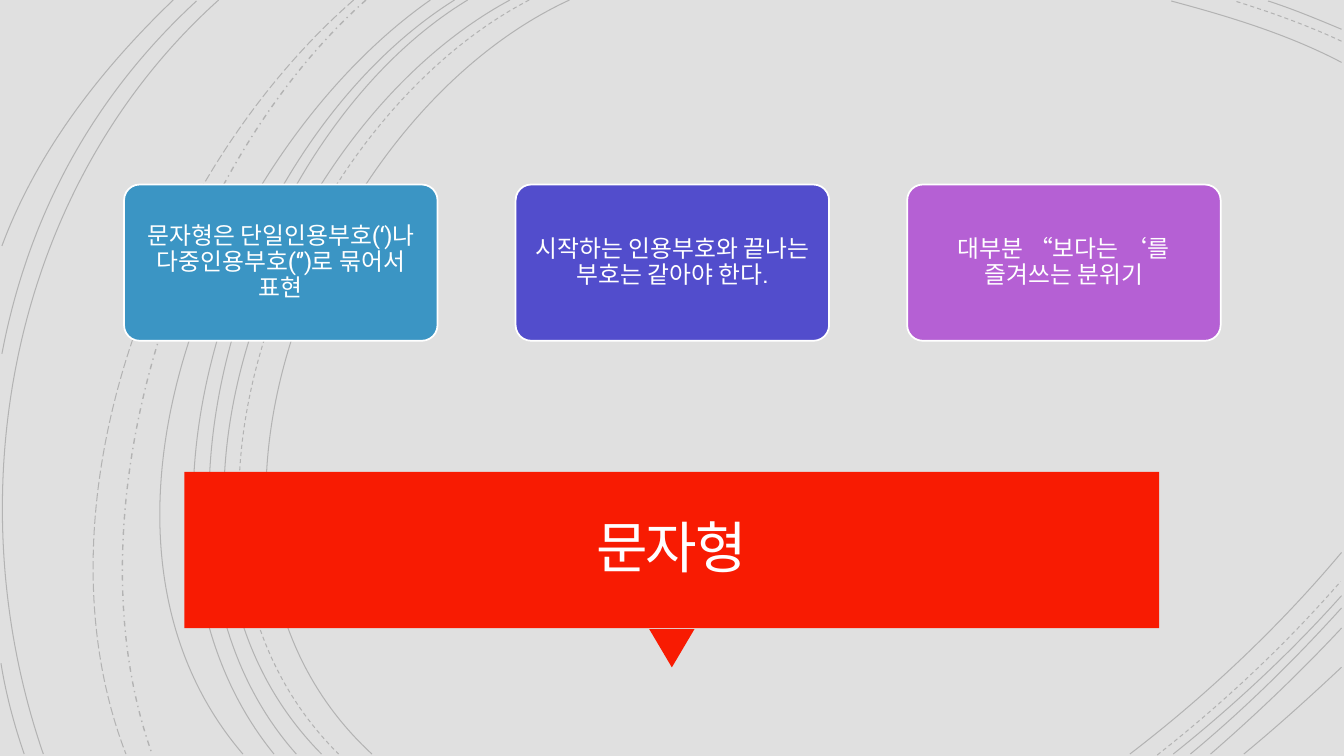
"""Builds the string-type slide: curved backdrop, three cards and a red title banner."""
from dataclasses import dataclass

import pptx
import pptx.dml.color
import pptx.enum.dml
import pptx.enum.shapes
import pptx.enum.text
import pptx.oxml
import pptx.oxml.ns
import pptx.shapes.autoshape
import pptx.slide
import pptx.util

Pt = pptx.util.Pt
RGBColor = pptx.dml.color.RGBColor
Dash = pptx.enum.dml.MSO_LINE
ShapeKind = pptx.enum.shapes.MSO_SHAPE

BACKDROP = RGBColor(0xE0, 0xE0, 0xE0)
CURVE_COLOR = RGBColor(0x00, 0x00, 0x00)
WHITE = RGBColor(0xFF, 0xFF, 0xFF)
TITLE_COLOR = RGBColor(0xFF, 0xFE, 0xFF)
RED = RGBColor(0xF8, 0x1B, 0x02)
BLUE = RGBColor(0x3B, 0x95, 0xC4)
INDIGO = RGBColor(0x52, 0x4D, 0xCC)
PURPLE = RGBColor(0xB5, 0x60, 0xD4)

NAMESPACE = pptx.oxml.ns.nsdecls("a")
CURVE_ALPHA = "20000"
CARD_LEFT, CARD_TOP, CARD_PITCH = 88.6, 131.8, 279.7
CARD_WIDTH, CARD_HEIGHT = 223.9, 111.6

Point = tuple[float, float]


@dataclass(frozen=True)
class Box:
    left: float
    top: float
    width: float
    height: float

    def lengths(self) -> tuple[int, int, int, int]:
        return Pt(self.left), Pt(self.top), Pt(self.width), Pt(self.height)


@dataclass(frozen=True)
class Curve:
    start: Point
    control1: Point
    control2: Point
    end: Point
    dash: Dash = Dash.SOLID
    weight: float = 0.75


@dataclass(frozen=True)
class Card:
    text: str
    color: RGBColor


CURVES = (
    Curve((406.8, 0), (226.8, 82.8), (103, 388.8), (265.7, 538.6)),
    Curve((958.3, 44.6), (920.2, 24.5), (877, 11.5), (836.6, 0.7)),
    Curve((807.1, 538.6), (861.8, 496.8), (913.7, 447.8), (958.3, 394.6)),
    Curve((378, 0), (205.2, 90), (88.6, 386.6), (241.9, 538.6), Dash.DASH),
    Curve((958.3, 29.5), (933.8, 18), (907.2, 8.6), (882, 0.7), Dash.DASH),
    Curve((826.6, 539.3), (873.4, 502.6), (918, 460.8), (957.6, 415.4), Dash.DASH),
    Curve((364.3, 0), (194.4, 91.4), (79.2, 386.6), (229.7, 538.6)),
    Curve((958.3, 20.9), (941, 13.7), (923.8, 6.5), (905.8, 0.7)),
    Curve((838.1, 538.6), (880.6, 504.7), (921.6, 466.6), (958.3, 425.5)),
    Curve((334.1, 0), (175.7, 95.8), (79.2, 389.5), (211.7, 538.6)),
    Curve((850.3, 538.6), (888.5, 506.9), (924.5, 471.6), (958.3, 434.2)),
    Curve((324.7, 0), (166.3, 99.4), (69.8, 383.8), (195.8, 538.6)),
    Curve((864.7, 538.6), (897.1, 510.5), (928.8, 480.2), (958.3, 448.6)),
    Curve((307.4, 0), (156.2, 105.8), (38.2, 380.9), (173.5, 538.6)),
    Curve((888.5, 538.6), (912.2, 519.1), (935.3, 498.2), (958.3, 476.6)),
    Curve((261.4, 0), (126.7, 119.5), (46.8, 366.5), (108.7, 538.6), Dash.DASH_DOT, 1),
    Curve((252.7, 0), (113, 121.7), (20.9, 359.3), (90, 538.6), Dash.LONG_DASH),
    Curve((156.2, 0), (7.9, 133.2), (-33.1, 352.8), (31, 538.6)),
    Curve((140.4, 0.7), (66.2, 69.1), (20.2, 154.1), (1.4, 252.7)),
    Curve((0.7, 473.8), (4.3, 496.1), (10.1, 517.7), (17.3, 538.6)),
    Curve((123.8, 0), (72, 49.7), (26.6, 108), (1.4, 175.7)),
)

CARDS = (
    Card("문자형은 단일인용부호(‘)나 다중인용부호(‘’)로 묶어서 표현", BLUE),
    Card("시작하는 인용부호와 끝나는 부호는 같아야 한다.", INDIGO),
    Card("대부분 “보다는 ‘를 즐겨쓰는 분위기", PURPLE),
)

POINTER = Box(463.7, 449.3, 32.4, 27.4)
BANNER = Box(131.8, 337, 696.2, 111.6)
TITLE = Box(138.2, 344.2, 683.3, 98.6)


def draw_curve(slide: pptx.slide.Slide, curve: Curve) -> None:
    start, *others = [(Pt(x), Pt(y)) for x, y in
                      (curve.start, curve.control1, curve.control2, curve.end)]
    builder = slide.shapes.build_freeform(*start)
    builder.add_line_segments(others, close=False)
    shape = builder.convert_to_shape()
    bezier = pptx.oxml.parse_xml(f"<a:cubicBezTo {NAMESPACE}/>")
    segments = shape.element.xpath(".//a:lnTo")
    outline = segments[0].getparent()
    for segment in segments:
        bezier.append(segment[0])
        outline.remove(segment)
    outline.append(bezier)
    shape.shadow.inherit = False
    shape.fill.background()
    shape.line.color.rgb = CURVE_COLOR
    shape.line.width = Pt(curve.weight)
    shape.line.dash_style = curve.dash
    color = shape.element.xpath(".//a:ln//a:srgbClr")[0]
    color.append(pptx.oxml.parse_xml(f'<a:alpha {NAMESPACE} val="{CURVE_ALPHA}"/>'))


def add_filled_shape(slide: pptx.slide.Slide, kind: ShapeKind, box: Box,
                     color: RGBColor) -> pptx.shapes.autoshape.Shape:
    shape = slide.shapes.add_shape(kind, *box.lengths())
    shape.shadow.inherit = False
    shape.fill.solid()
    shape.fill.fore_color.rgb = color
    shape.line.fill.background()
    return shape


def write_centred(shape: pptx.shapes.autoshape.Shape, text: str, font_name: str, size: float,
                  color: RGBColor, spacing: float, inset_x: float, inset_y: float) -> None:
    frame = shape.text_frame
    frame.text = text
    frame.word_wrap = True
    frame.auto_size = pptx.enum.text.MSO_AUTO_SIZE.NONE
    frame.vertical_anchor = pptx.enum.text.MSO_ANCHOR.MIDDLE
    frame.margin_left = frame.margin_right = Pt(inset_x)
    frame.margin_top = frame.margin_bottom = Pt(inset_y)
    paragraph = frame.paragraphs[0]
    paragraph.alignment = pptx.enum.text.PP_ALIGN.CENTER
    paragraph.line_spacing = spacing
    font = paragraph.runs[0].font
    font.name = font_name
    font.size = Pt(size)
    font.color.rgb = color


def draw_card(slide: pptx.slide.Slide, index: int, card: Card) -> None:
    box = Box(CARD_LEFT + index * CARD_PITCH, CARD_TOP, CARD_WIDTH, CARD_HEIGHT)
    shape = add_filled_shape(slide, ShapeKind.ROUNDED_RECTANGLE, box, card.color)
    shape.adjustments[0] = 0.1
    shape.line.color.rgb = WHITE
    shape.line.width = Pt(1.25)
    write_centred(shape, card.text, "Roboto Slab", 17, WHITE, 0.9, 2.9, 1.4)


def draw_banner(slide: pptx.slide.Slide) -> None:
    pointer = add_filled_shape(slide, ShapeKind.ISOSCELES_TRIANGLE, POINTER, RED)
    pointer.rotation = 180
    add_filled_shape(slide, ShapeKind.RECTANGLE, BANNER, RED)
    title = slide.shapes.title
    title.left, title.top, title.width, title.height = TITLE.lengths()
    write_centred(title, "문자형", "Calibri", 40, TITLE_COLOR, 0.85, 18, 18)
    title.element.xpath(".//a:rPr")[0].set("spc", "-150")
    title.element.getparent().append(title.element)


def main() -> None:
    presentation = pptx.Presentation()
    presentation.slide_width, presentation.slide_height = Pt(960), Pt(540)
    slide = presentation.slides.add_slide(presentation.slide_layouts[5])
    slide.background.fill.solid()
    slide.background.fill.fore_color.rgb = BACKDROP
    for curve in CURVES:
        draw_curve(slide, curve)
    draw_banner(slide)
    for index, card in enumerate(CARDS):
        draw_card(slide, index, card)
    presentation.save("out.pptx")


if __name__ == "__main__":
    main()
